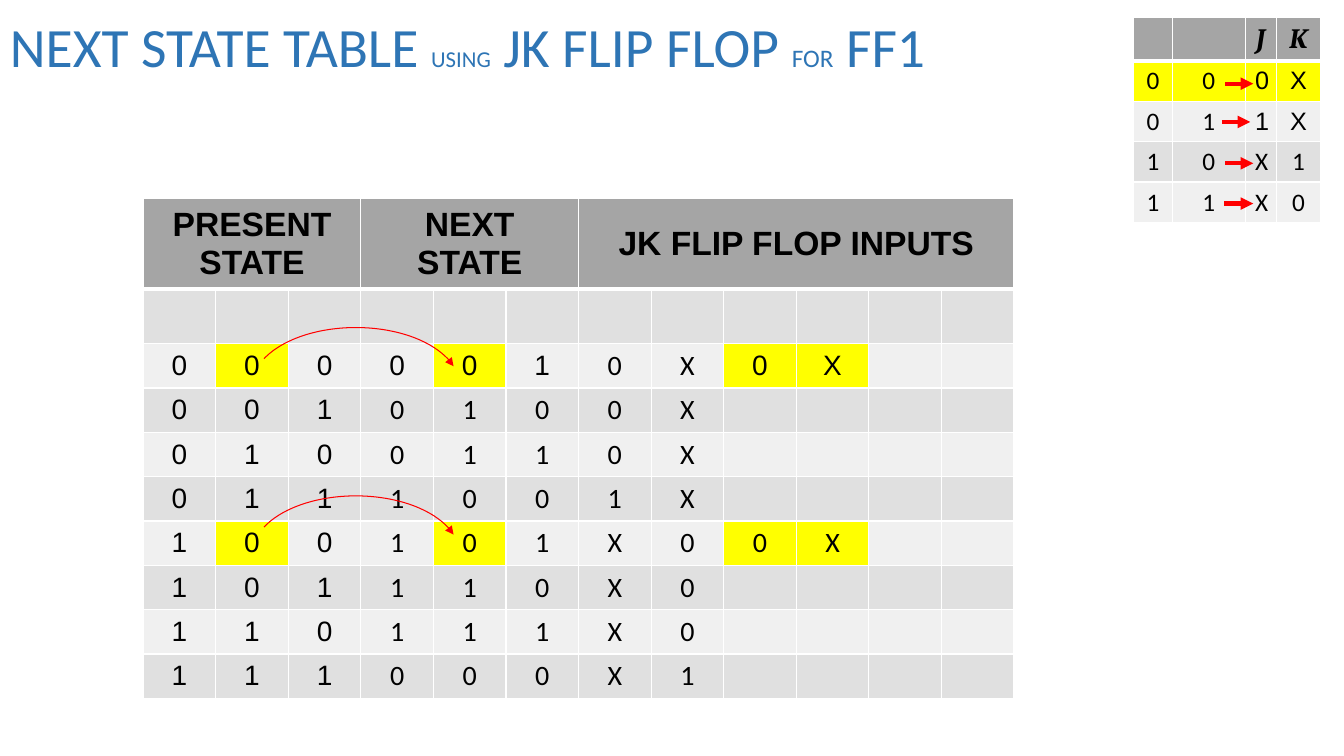
from dataclasses import dataclass
from typing import NamedTuple

import pptx
import pptx.dml.color
import pptx.enum.shapes
import pptx.enum.text
import pptx.oxml
import pptx.oxml.ns
import pptx.presentation
import pptx.shapes.shapetree
import pptx.slide
import pptx.table
import pptx.text.text
import pptx.util

PX = 9144  # EMU in one px, at 100 px to the inch


@dataclass(frozen=True)
class Theme:
    title: str = "2E75B5"
    ink: str = "000000"
    head: str = "A5A5A5"
    bands: tuple[str, str] = ("E0E0E0", "F0F0F0")
    mark: str = "FFFF00"
    rule: str = "FFFFFF"
    arrow: str = "FF0000"
    sans: str = "Arial"
    body: str = "Calibri"
    math: str = "Cambria"
    big: float = 39.6
    using: float = 16.2
    small: float = 18
    head_size: float = 24
    cell: float = 20


THEME = Theme()


class Style(NamedTuple):
    font: str
    size: float
    color: str = THEME.ink
    bold: bool = False
    slant: bool = False


class Head(NamedTuple):
    text: str
    span: int


class Row(NamedTuple):
    marks: str  # one letter for each cell
    fonts: str  # A for sans, C for body
    lit: tuple[int, ...] = ()


class Grid(NamedTuple):
    left: int
    top: int
    cols: list[int]
    head_high: int
    high: int
    heads: list[Head]
    head_style: Style
    size: float
    rows: list[Row]


class Arrow(NamedTuple):
    left: int
    right: int
    y: int


STATES = Grid(
    142, 197, [72] * 12, 90, 44,
    [Head("PRESENT STATE", 3), Head("NEXT STATE", 3), Head("JK FLIP FLOP INPUTS", 6)],
    Style(THEME.sans, THEME.head_size, bold=True), THEME.cell,
    [
        Row("", ""),
        Row("0000010X0X", "AAAAAACCAA", (1, 4, 8, 9)),
        Row("0010100X", "AAACCCCC"),
        Row("0100110X", "AAACCCCC"),
        Row("0111001X", "AAACCCCC"),
        Row("100101X00X", "AAACCCCCCC", (1, 4, 8, 9)),
        Row("101110X0", "AAACCCCC"),
        Row("110111X0", "AAACCCCC"),
        Row("111000X1", "AAACCCCC"),
    ],
)
EXCITE = Grid(
    1124, 17, [39, 72, 31, 44], 43, 40,
    [Head("", 1), Head("", 1), Head("J", 1), Head("K", 1)],
    Style(THEME.math, THEME.cell, bold=True, slant=True), THEME.small,
    [
        Row("000X", "CCAA", (0, 1, 2, 3)),
        Row("011X", "CCAA"),
        Row("10X1", "CCCC"),
        Row("11X0", "CCCC"),
    ],
)
BLANK_HIGH = 54
ARROWS = [Arrow(1215, 1243, 83), Arrow(1212, 1240, 121),
          Arrow(1215, 1243, 162), Arrow(1214, 1243, 202)]
ARC_TOPS = [325, 492]


def color(code: str) -> pptx.dml.color.RGBColor:
    return pptx.dml.color.RGBColor.from_string(code)


def add_run(para: pptx.text.text._Paragraph, text: str, style: Style) -> None:
    run = para.add_run()
    run.text = text
    font = run.font
    font.name, font.size = style.font, pptx.util.Pt(style.size)
    font.bold, font.italic = style.bold, style.slant
    font.color.rgb = color(style.color)


def add_edges(cell: pptx.table._Cell, top: int, base: int) -> None:
    props = cell._tc.get_or_add_tcPr()
    for side, width in (("L", 1), ("R", 1), ("T", top), ("B", base)):
        props.append(pptx.oxml.parse_xml(
            f'<a:ln{side} {pptx.oxml.ns.nsdecls("a")} w="{width * 12700}"><a:solidFill>'
            f'<a:srgbClr val="{THEME.rule}"/></a:solidFill></a:ln{side}>'))


def fill_cell(cell: pptx.table._Cell, fill: str, text: str, style: Style) -> None:
    cell.fill.solid()
    cell.fill.fore_color.rgb = color(fill)
    cell.vertical_anchor = pptx.enum.text.MSO_ANCHOR.MIDDLE
    if text:
        para = cell.text_frame.paragraphs[0]
        para.alignment = pptx.enum.text.PP_ALIGN.CENTER
        add_run(para, text, style)


def add_grid(shapes: pptx.shapes.shapetree.SlideShapes, grid: Grid) -> None:
    highs = [grid.head_high] + [grid.high if row.marks else BLANK_HIGH for row in grid.rows]
    table = shapes.add_table(
        len(highs), len(grid.cols), grid.left * PX, grid.top * PX,
        sum(grid.cols) * PX, sum(highs) * PX).table
    table.first_row = table.horz_banding = False
    for col, wide in zip(table.columns, grid.cols):
        col.width = wide * PX
    for line, high in zip(table.rows, highs):
        line.height = high * PX
    for r in range(len(highs)):
        for c in range(len(grid.cols)):
            add_edges(table.cell(r, c), 3 if r == 1 else 1, 3 if r == 0 else 1)

    # Header row
    start = 0
    for head in grid.heads:
        cell = table.cell(0, start)
        if head.span > 1:
            cell.merge(table.cell(0, start + head.span - 1))
        fill_cell(cell, THEME.head, head.text, grid.head_style)
        start += head.span

    # Body rows
    for r, row in enumerate(grid.rows):
        for c in range(len(grid.cols)):
            fill = THEME.mark if c in row.lit else THEME.bands[r % 2]
            font = THEME.sans if row.fonts[c:c + 1] == "A" else THEME.body
            fill_cell(table.cell(r + 1, c), fill, row.marks[c:c + 1], Style(font, grid.size))


def add_tip(line: pptx.dml.line.LineFormat, width: float) -> None:
    line.color.rgb = color(THEME.arrow)
    line.width = pptx.util.Pt(width)
    line._get_or_add_ln().append(pptx.oxml.parse_xml(
        f'<a:tailEnd {pptx.oxml.ns.nsdecls("a")} type="triangle"/>'))


def add_arrow(shapes: pptx.shapes.shapetree.SlideShapes, arrow: Arrow) -> None:
    link = shapes.add_connector(
        pptx.enum.shapes.MSO_CONNECTOR.STRAIGHT,
        arrow.left * PX, arrow.y * PX, arrow.right * PX, arrow.y * PX)
    add_tip(link.line, 3)
    link._element.spPr.append(pptx.oxml.parse_xml(
        f'<a:effectLst {pptx.oxml.ns.nsdecls("a")}/>'))


def add_arc(shapes: pptx.shapes.shapetree.SlideShapes, top: int) -> None:
    arc = shapes.add_shape(
        pptx.enum.shapes.MSO_SHAPE.ARC, 250 * PX, top * PX, 206 * PX, 116 * PX)
    arc.adjustments[0], arc.adjustments[1] = 117.94, 209.15
    arc.fill.background()
    arc.shadow.inherit = False
    add_tip(arc.line, 0.75)


def add_title(shapes: pptx.shapes.shapetree.SlideShapes) -> None:
    frame = shapes.add_textbox(0, 0, 999 * PX, 99 * PX).text_frame
    frame.word_wrap = True
    frame.vertical_anchor = pptx.enum.text.MSO_ANCHOR.MIDDLE
    para = frame.paragraphs[0]
    para.line_spacing = 0.9
    for text, size in (("NEXT STATE TABLE ", THEME.big), ("USING", THEME.using),
                       (" JK FLIP FLOP ", THEME.big), ("FOR", THEME.small),
                       (" FF1", THEME.big)):
        add_run(para, text, Style(THEME.body, size, THEME.title))


def main() -> None:
    deck = pptx.Presentation()
    deck.slide_width, deck.slide_height = 1333 * PX, 750 * PX
    shapes = deck.slides.add_slide(deck.slide_layouts[6]).shapes
    add_title(shapes)
    for grid in (STATES, EXCITE):
        add_grid(shapes, grid)
    for arrow in ARROWS:
        add_arrow(shapes, arrow)
    for top in ARC_TOPS:
        add_arc(shapes, top)
    deck.save("out.pptx")


if __name__ == "__main__":
    main()
